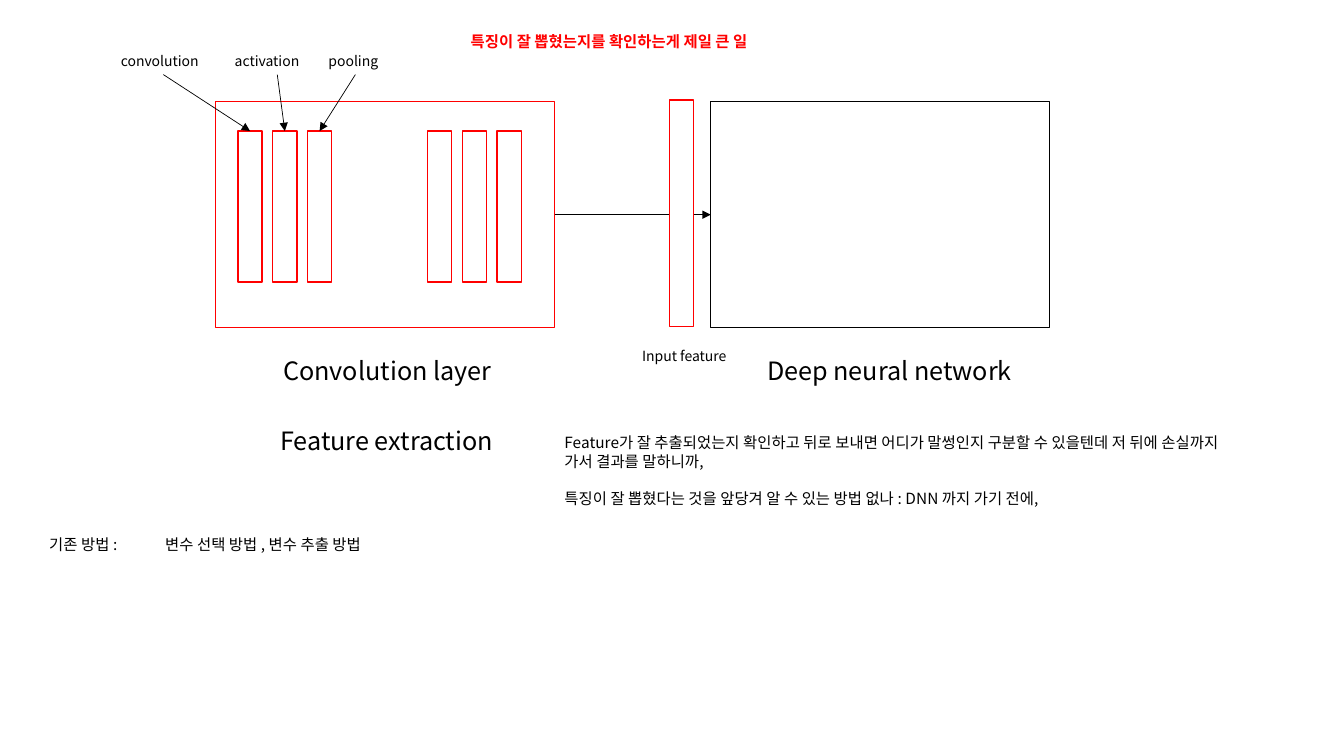
from dataclasses import dataclass

from pptx import Presentation
from pptx.dml.color import RGBColor
from pptx.enum.shapes import MSO_CONNECTOR, MSO_SHAPE
from pptx.enum.text import MSO_ANCHOR, MSO_AUTO_SIZE
from pptx.oxml.ns import qn
from pptx.util import Inches, Pt
from lxml import etree

RECT = MSO_SHAPE.RECTANGLE
LINE = MSO_CONNECTOR.STRAIGHT
TOP_TEXT = MSO_ANCHOR.TOP
GROW = MSO_AUTO_SIZE.SHAPE_TO_FIT_TEXT
TOP, LEFT, BOTTOM, RIGHT = range(4)
CELL = Inches(0.1)


@dataclass(frozen=True)
class Theme:
    font: str = "Noto Sans CJK KR"
    black: RGBColor = RGBColor(0, 0, 0)
    red: RGBColor = RGBColor(255, 0, 0)
    white: RGBColor = RGBColor(255, 255, 255)
    head: Pt = Pt(18)
    body: Pt = Pt(11)
    small: Pt = Pt(10)
    edge: Pt = Pt(1)
    thin: Pt = Pt(0.5)
    gap: Pt = Pt(13.2)


THEME = Theme()


def apply(target, values):
    for name, value in values.items():
        setattr(target, name, value)


def grid(*cells):
    return [round(cell * CELL) for cell in cells]


def add_box(slide, col, row, cols, rows, color):
    box = slide.shapes.add_shape(RECT, *grid(col, row, cols, rows))
    box.shadow.inherit = False
    box.fill.solid()
    box.fill.fore_color.rgb = THEME.white
    box.line.color.rgb = color
    box.line.width = THEME.edge
    return box


def add_bars(slide, col):
    return [add_box(slide, col + 3.45 * step, 13, 2.4, 15, THEME.red)
            for step in range(3)]


def add_text(slide, col, row, cols, rows, lines, size,
             color=THEME.black, bold=False):
    label = slide.shapes.add_textbox(*grid(col, row, cols, rows))
    frame = label.text_frame
    apply(frame, {"word_wrap": True, "auto_size": GROW,
                  "vertical_anchor": TOP_TEXT})
    for index, line in enumerate(lines):
        para = frame.add_paragraph() if index else frame.paragraphs[0]
        if index:
            para.space_before = THEME.gap
        run = para.add_run()
        run.text = line
        apply(run.font, {"name": THEME.font, "size": size, "bold": bold})
        run.font.color.rgb = color
        east = etree.SubElement(run._r.get_or_add_rPr(), qn("a:ea"))
        east.set("typeface", THEME.font)
    return label


def add_arrow(slide, start, side, end, goal):
    arrow = slide.shapes.add_connector(LINE, 0, 0, 0, 0)
    arrow.begin_connect(start, side)
    arrow.end_connect(end, goal)
    arrow.line.color.rgb = THEME.black
    arrow.line.width = THEME.thin
    props = arrow._element.spPr
    tail = etree.SubElement(props.find(qn("a:ln")), qn("a:tailEnd"))
    tail.set("type", "triangle")
    etree.SubElement(props, qn("a:effectLst"))


def main():
    deck = Presentation()
    apply(deck, {"slide_width": Inches(13.33), "slide_height": Inches(7.5)})
    slide = deck.slides.add_slide(deck.slide_layouts[6])

    layer = add_box(slide, 21.4, 10.1, 33.6, 22.4, THEME.red)
    network = add_box(slide, 70.5, 10.1, 33.6, 22.4, THEME.black)
    add_arrow(slide, layer, RIGHT, network, LEFT)

    for col, row, cols, title in (
        (27.1, 34.8, 23.5, "Convolution layer"),
        (75.1, 34.8, 30.5, "Deep neural network"),
        (26.8, 41.7, 23.5, "Feature extraction"),
    ):
        add_text(slide, col, row, cols, 4, [title], THEME.head)

    bars = add_bars(slide, 23.6)
    steps = ((11, 10.4, "convolution"), (22.3, 10.4, "activation"),
             (31.6, 7.3, "pooling"))
    for bar, (col, cols, name) in zip(bars, steps):
        label = add_text(slide, col, 4.7, cols, 2.7, [name], THEME.small)
        add_arrow(slide, label, BOTTOM, bar, TOP)
    add_bars(slide, 42.4)

    add_box(slide, 66.4, 9.9, 2.4, 22.5, THEME.red)
    add_text(slide, 62.7, 34, 11.9, 2.7, ["Input feature"], THEME.small)

    add_text(slide, 3.9, 52.6, 9.6, 2.9, ["기존 방법 :"], THEME.body)
    add_text(slide, 15.4, 52.6, 28.1, 2.9,
             ["변수 선택 방법 , 변수 추출 방법"], THEME.body)
    add_text(slide, 55, 42.5, 69.6, 8.4, [
        "Feature가 잘 추출되었는지 확인하고 뒤로 보내면 어디가 말썽인지 "
        "구분할 수 있을텐데 저 뒤에 손실까지 가서 결과를 말하니까,",
        "특징이 잘 뽑혔다는 것을 앞당겨 알 수 있는 방법 없나 : "
        "DNN 까지 가기 전에,",
    ], THEME.body)
    add_text(slide, 45.7, 2.7, 33.6, 2.9,
             ["특징이 잘 뽑혔는지를 확인하는게 제일 큰 일"],
             THEME.body, THEME.red, True)

    deck.save("out.pptx")


if __name__ == "__main__":
    main()
